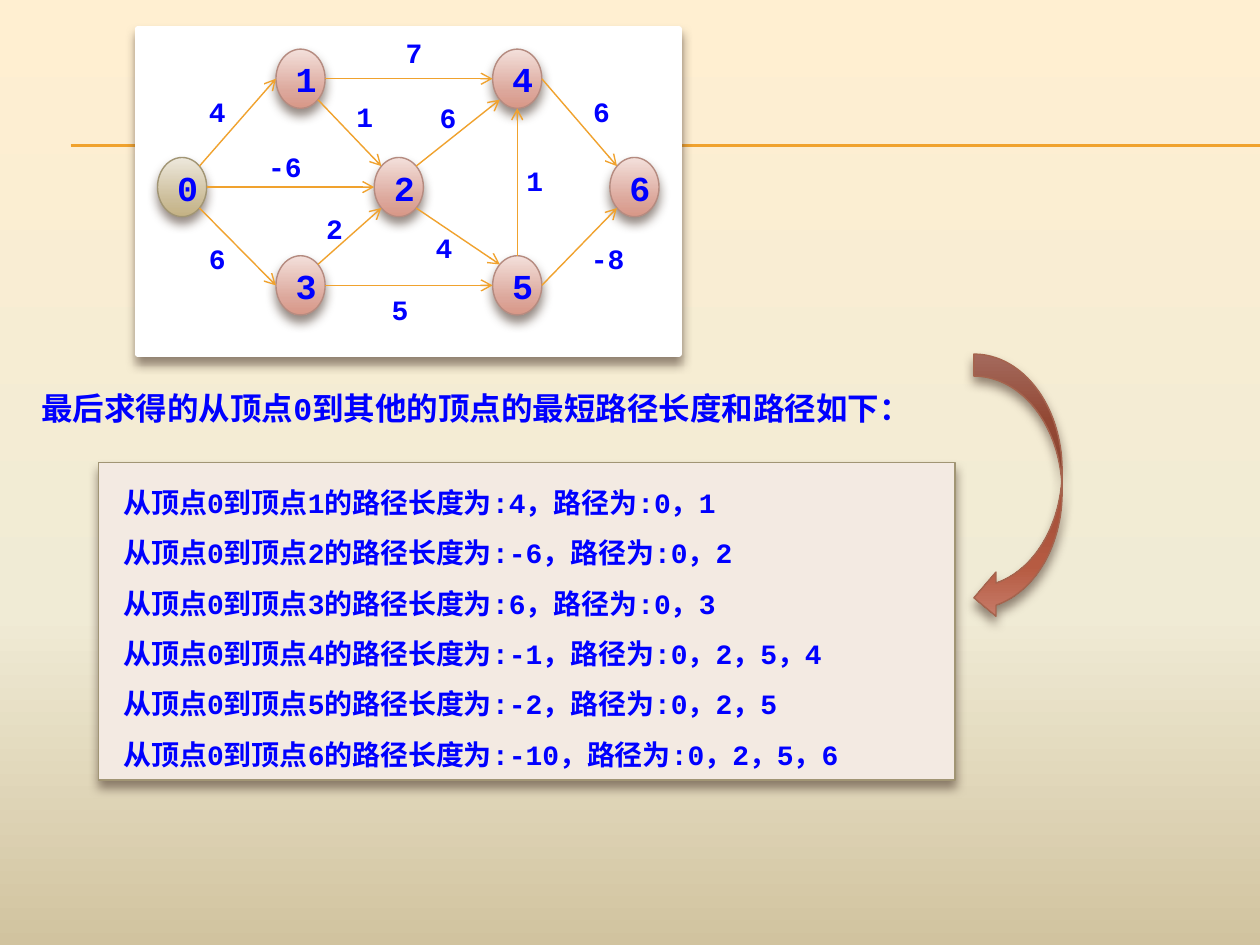
from math import sqrt

from pptx import Presentation
from pptx import util as u
from pptx.dml import color
from pptx.enum import shapes as sh, text as tx
from pptx.oxml import ns, xmlchemy as xm

HUES = {
    "ink": "0000FF", "edge": "F0A22E", "shade": "4E3B30", "white": "FFFFFF",
    "box": "F3EAE2", "olive": "A19574", "rose": "B58B80", "rust": "A5644E",
}
FADES = {
    "page": [(0, "FFEFD1"), (65, "F0EBD5"), (100, "D1C39F")],
    "olive": [(0, "EDE8DC"), (72, "CCBD99"), (100, "C4B284")],
    "rose": [(0, "F3E0DB"), (72, "DCA79B"), (100, "D89787")],
    "rust": [(0, "CD8473"), (25, "B75B42"), (50, "AA533C"),
             (65, "AA533C"), (80, "B65B42"), (100, "C77D6B")],
}
COLS, ROWS = 100, 75
THIN = 0.79
WIDE, HIGH = 3.9, 4.7
DIAG = sqrt(0.5)
SITES = {
    "n": (0, -1), "s": (0, 1), "w": (-1, 0), "e": (1, 0),
    "nw": (-DIAG, -DIAG), "ne": (DIAG, -DIAG),
    "sw": (-DIAG, DIAG), "se": (DIAG, DIAG),
}
NODES = {
    "0": (14.45, 14.85), "1": (23.85, 6.25), "3": (23.85, 22.65),
    "4": (41.05, 6.25), "5": (41.05, 22.65), "2": (31.65, 14.85),
    "6": (50.35, 14.85),
}
EDGES = [
    ("0", "ne", "1", "w"), ("1", "e", "4", "w"), ("0", "se", "3", "w"),
    ("0", "e", "2", "w"), ("1", "se", "2", "nw"), ("3", "e", "5", "w"),
    ("2", "ne", "4", "sw"), ("5", "n", "4", "s"), ("2", "se", "5", "nw"),
    ("3", "ne", "2", "sw"), ("4", "e", "6", "nw"), ("5", "e", "6", "sw"),
]
COSTS = [
    ("4", 15.6, 7), ("6", 15.6, 18.7), ("-6", 20.3, 11.4), ("1", 27.3, 7.4),
    ("7", 31.2, 2.3), ("6", 33.9, 7.5), ("1", 40.8, 12.5), ("2", 24.9, 16.3),
    ("4", 33.6, 17.8), ("5", 30.1, 22.7), ("-8", 46.9, 18.7), ("6", 46.1, 7),
]
ROUTES = [
    (4, "0，1"), (-6, "0，2"), (6, "0，3"),
    (-1, "0，2，5，4"), (-2, "0，2，5"), (-10, "0，2，5，6"),
]


def put(item, vals):
    for key, val in vals.items():
        setattr(item, key, val)


def add(node, tag, **vals):
    kid = xm.OxmlElement(tag)
    for key, val in vals.items():
        kid.set(key, str(val))
    node.append(kid)
    return kid


class Board:
    font = {"name": "Courier New", "bold": True}

    def __init__(self, deck):
        self.slide = deck.slides.add_slide(deck.slide_layouts[6])
        self.home = self.slide.shapes
        self.col = deck.slide_width / COLS
        self.row = deck.slide_height / ROWS

    def grid(self, x, y):
        return round(x * self.col), round(y * self.row)

    def hue(self, name):
        return color.RGBColor.from_string(HUES[name])

    def fade(self, fill, node, name):
        fill.gradient()
        fill.gradient_angle = 270
        stops = node.find(".//" + ns.qn("a:gsLst"))
        for kid in list(stops):
            stops.remove(kid)
        for pos, tint in FADES[name]:
            add(add(stops, "a:gs", pos=pos * 1000), "a:srgbClr", val=tint)

    def page(self, name):
        self.fade(self.slide.background.fill, self.slide.element, name)

    def words(self, shape, lines, size, para=None, **frame):
        body = shape.text_frame
        put(body, {"word_wrap": True, **frame})
        for i, line in enumerate(lines):
            item = body.add_paragraph() if i else body.paragraphs[0]
            put(item, para or {})
            run = item.add_run()
            run.text = line
            put(run.font, {**self.font, "size": u.Pt(size)})
            run.font.color.rgb = self.hue("ink")

    def shape(self, kind, x, y, w, h, fill, line, width=THIN):
        item = self.home.add_shape(kind, *self.grid(x, y), *self.grid(w, h))
        if fill in FADES:
            self.fade(item.fill, item.element, fill)
        else:
            item.fill.solid()
            item.fill.fore_color.rgb = self.hue(fill)
        item.line.color.rgb = self.hue(line)
        item.line.width = u.Pt(width)
        item.shadow.inherit = False
        glow = item.element.spPr.find(ns.qn("a:effectLst"))
        cast = add(glow, "a:outerShdw", blurRad=u.Pt(6), dist=u.Pt(4),
                   dir=5400000, algn="ctr", rotWithShape=0)
        tint = add(cast, "a:srgbClr", val=HUES["shade"])
        add(tint, "a:alpha", val=60000)
        return item

    def line(self, start, end, width=THIN, head=False):
        item = self.home.add_connector(
            sh.MSO_CONNECTOR.STRAIGHT, *self.grid(*start), *self.grid(*end))
        item.line.color.rgb = self.hue("edge")
        item.line.width = u.Pt(width)
        props = item.element.spPr
        if head:
            add(props.find(ns.qn("a:ln")), "a:tailEnd", type="arrow")
        add(props, "a:effectLst")

    def label(self, words, x, y, w, h, size, para=None, **frame):
        item = self.home.add_textbox(*self.grid(x, y), *self.grid(w, h))
        self.words(item, [words], size, para, **frame)

    def node(self, name):
        x, y = NODES[name]
        tone = "olive" if name == "0" else "rose"
        item = self.shape(sh.MSO_SHAPE.OVAL, x - WIDE / 2, y - HIGH / 2,
                          WIDE, HIGH, tone, tone)
        self.words(item, [name], 20, {"alignment": tx.PP_ALIGN.CENTER},
                   vertical_anchor=tx.MSO_ANCHOR.MIDDLE)

    def site(self, name, side):
        x, y = NODES[name]
        dx, dy = SITES[side]
        return x + dx * WIDE / 2, y + dy * HIGH / 2

    def graph(self):
        self.home = self.slide.shapes.add_group_shape().shapes
        self.shape(sh.MSO_SHAPE.RECTANGLE, 10.9, 2.3, 43, 25.8,
                   "white", "white", 3)
        for name in NODES:
            self.node(name)
        for a, out, b, into in EDGES:
            self.line(self.site(a, out), self.site(b, into), head=True)
        for cost, x, y in COSTS:
            flush = {"margin_left": 0, "margin_right": 0} if cost == "-8" else {}
            self.label(cost, x, y, 5.5 if cost == "-6" else 3.1, 3.7, 16, **flush)
        self.home = self.slide.shapes


def main():
    deck = Presentation()
    put(deck, {"slide_width": u.Inches(10), "slide_height": u.Inches(7.5)})
    board = Board(deck)
    board.page("page")
    for y in (11.5, 11.6):
        board.line((5.6, y), (COLS, y), 0.75)
    board.label("最后求得的从顶点0到其他的顶点的最短路径长度和路径如下：",
                2.3, 28.9, 77.3, 5, 18, {"line_spacing": u.Pt(32)})
    box = board.shape(sh.MSO_SHAPE.RECTANGLE, 7.8, 36.7, 68, 25.2, "box", "olive")
    lines = [f"从顶点0到顶点{i}的路径长度为:{cost}，路径为:{way}"
             for i, (cost, way) in enumerate(ROUTES, 1)]
    board.words(box, lines, 16,
                {"line_spacing": 1.5, "alignment": tx.PP_ALIGN.LEFT},
                margin_left=u.Inches(0.2), vertical_anchor=tx.MSO_ANCHOR.TOP)
    board.graph()
    board.shape(sh.MSO_SHAPE.CURVED_LEFT_ARROW, 77.3, 28.1, 7, 21.1, "rust", "rust")
    deck.save("out.pptx")


if __name__ == "__main__":
    main()
